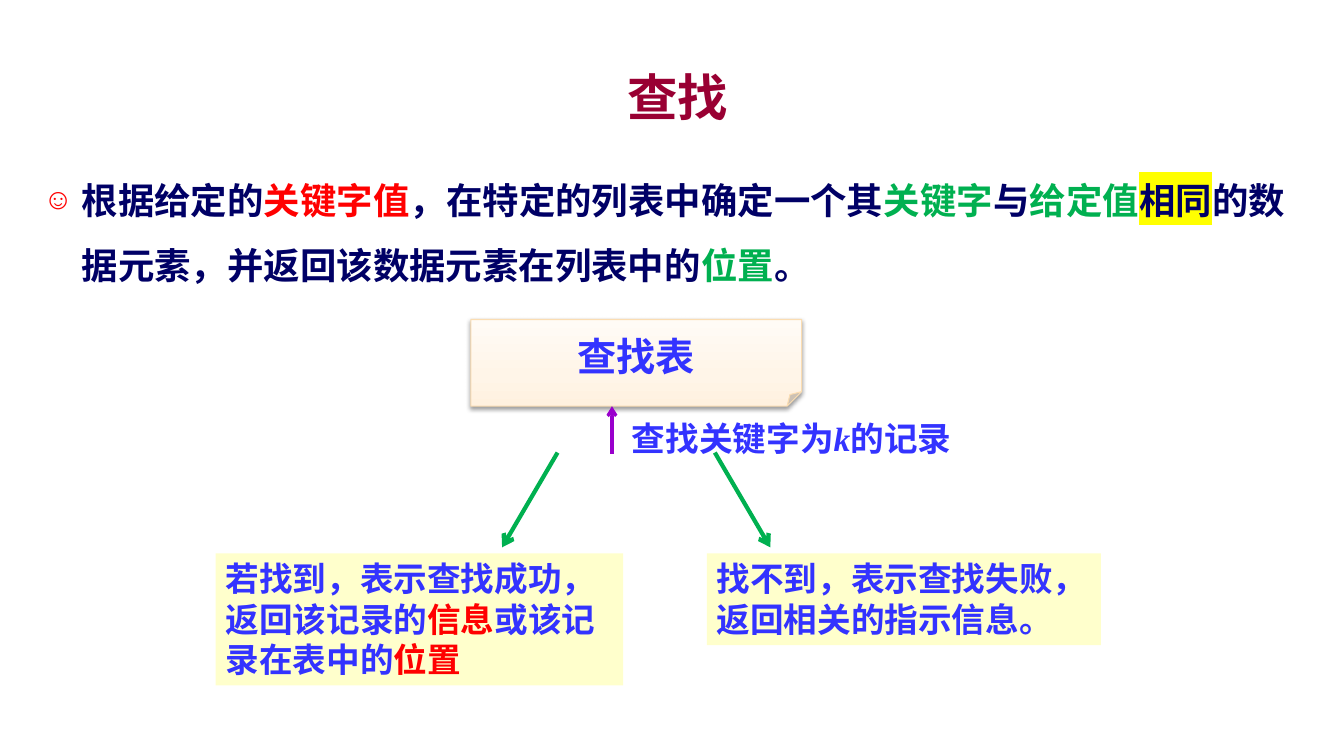
from dataclasses import dataclass

from lxml import etree
from pptx import Presentation
from pptx import util as u
from pptx.dml.color import RGBColor
from pptx.enum import shapes, text
from pptx.oxml import parse_xml
from pptx.oxml.ns import nsdecls, qn


@dataclass(frozen=True)
class Theme:
    """Fonts, colours and type sizes of the deck."""
    sans: str = "Noto Sans CJK SC"
    serif: str = "Times New Roman"
    title: str = "990033"
    navy: str = "000066"
    blue: str = "3333FF"
    red: str = "FF0000"
    green: str = "00B050"
    purple: str = "9900CC"
    yellow: str = "FFFF00"
    cream: str = "FFFFCC"
    card_edge: str = "FBDDB2"
    card_stops: tuple = ((0, "FFF1DF"), (35, "FFF5E8"), (100, "FFFBF6"))
    title_size: int = 36
    body_size: int = 26
    card_size: int = 28
    note_size: int = 24


THEME = Theme()


def rgb(code):
    """Turn a hex code into a colour."""
    return RGBColor.from_string(code)


def child(parent, tag, **attributes):
    """Append an XML element and return it."""
    return etree.SubElement(parent, qn(tag), attributes)


def place(shape, box):
    """Move a shape to a box of left, top, width and height in inches."""
    shape.left, shape.top, shape.width, shape.height = map(u.Inches, box)


def write(para, spans, size, color, font):
    """Fill a paragraph with (words, colour, extra) spans in bold."""
    for words, own_color, extra in spans:
        span = para.add_run()
        span.text = words
        span.font.size = u.Pt(size)
        span.font.bold = True
        span.font.color.rgb = rgb(own_color or color)
        properties = span._r.get_or_add_rPr()
        if extra == "marked":
            child(child(properties, "a:highlight"), "a:srgbClr", val=THEME.yellow)
        if extra == "italic":
            span.font.italic = True
        span.font.name = font
        child(properties, "a:ea", typeface=THEME.sans)


def plain(words, color=None, extra=None):
    """Describe one span of text."""
    return words, color, extra


def add_title(page, box, words):
    """Place the centred title."""
    title = page.shapes.title
    place(title, box)
    frame = title.text_frame
    frame.auto_size = text.MSO_AUTO_SIZE.NONE
    frame.vertical_anchor = text.MSO_ANCHOR.MIDDLE
    para = frame.paragraphs[0]
    para.alignment = text.PP_ALIGN.CENTER
    write(para, [plain(words)], THEME.title_size, THEME.title, THEME.sans)


def add_definition(page, box, spans):
    """Place the bulleted definition in the body placeholder."""
    body = page.placeholders[1]
    place(body, box)
    frame = body.text_frame
    frame.auto_size = text.MSO_AUTO_SIZE.NONE
    para = frame.paragraphs[0]
    para.line_spacing = 1.5
    para.space_before = para.space_after = u.Pt(6)
    layout = para._p.get_or_add_pPr()
    indent = u.Inches(0.38)
    layout.set("marL", str(indent))
    layout.set("indent", str(-indent))
    child(child(layout, "a:buClr"), "a:srgbClr", val=THEME.red)
    child(layout, "a:buSzPct", val="80000")
    child(layout, "a:buChar", char="☺")
    write(para, spans, THEME.body_size, THEME.navy, THEME.sans)


def add_card(page, box, words):
    """Draw the folded card that stands for the lookup table."""
    card = page.shapes.add_shape(shapes.MSO_SHAPE.FOLDED_CORNER, *map(u.Inches, box))
    card.fill.gradient()
    card.fill.gradient_angle = 90
    stops = card._element.spPr.find(qn("a:gradFill")).find(qn("a:gsLst"))
    for stop in list(stops):
        stops.remove(stop)
    for share, color in THEME.card_stops:
        child(child(stops, "a:gs", pos=str(share * 1000)), "a:srgbClr", val=color)
    card.line.color.rgb = rgb(THEME.card_edge)
    card.line.width = u.Pt(0.75)
    card._element.spPr.append(parse_xml(
        f'<a:effectLst {nsdecls("a")}><a:outerShdw blurRad="40000" dist="20000" '
        'dir="5400000" rotWithShape="0"><a:srgbClr val="000000">'
        '<a:alpha val="38000"/></a:srgbClr></a:outerShdw></a:effectLst>'))
    frame = card.text_frame
    frame.vertical_anchor = text.MSO_ANCHOR.MIDDLE
    para = frame.paragraphs[0]
    para.alignment = text.PP_ALIGN.CENTER
    write(para, [plain(words)], THEME.card_size, THEME.blue, THEME.sans)


def add_arrow(page, start, end, color, width):
    """Draw an open-headed arrow between two points."""
    arrow = page.shapes.add_connector(
        shapes.MSO_CONNECTOR.STRAIGHT, *map(u.Inches, start + end))
    arrow.line.color.rgb = rgb(color)
    arrow.line.width = u.Pt(width)
    child(arrow.line._get_or_add_ln(), "a:tailEnd", type="arrow")
    child(arrow._element.spPr, "a:effectLst")


def add_note(page, box, spans, fill=None):
    """Place a wrapping note, on a filled ground if given."""
    note = page.shapes.add_textbox(*map(u.Inches, box))
    if fill:
        note.fill.solid()
        note.fill.fore_color.rgb = rgb(fill)
    frame = note.text_frame
    frame.word_wrap = True
    frame.auto_size = text.MSO_AUTO_SIZE.SHAPE_TO_FIT_TEXT
    write(frame.paragraphs[0], spans, THEME.note_size, THEME.blue, THEME.serif)


def add_query(page, box, spans):
    """Place the query label with the arrow rising at its left."""
    left, top, _, _ = box
    add_arrow(page, (left - 0.1, top + 0.4), (left - 0.1, top - 0.07), THEME.purple, 2.25)
    add_note(page, box, spans)


def add_outcome(page, box, arrow_x, lean, spans):
    """Place an outcome note with a slanted arrow leading down to it."""
    top = box[1]
    add_arrow(page, (arrow_x, top - 1), (arrow_x + lean, top - 0.06), THEME.green, 3)
    add_note(page, box, spans, THEME.cream)


def build_search_page(deck):
    """Build the page that defines searching and its two outcomes."""
    page = deck.slides.add_slide(deck.slide_layouts[1])
    add_title(page, (1, 0.58, 11.33, 0.75), " 查找")
    add_definition(page, (0.33, 1.5, 12.67, 1.42), [
        plain("根据给定的"), plain("关键字值", THEME.red),
        plain("，在特定的列表中确定一个其"), plain("关键字", THEME.green),
        plain("与"), plain("给定值", THEME.green),
        plain("相同", extra="marked"),
        plain("的数据元素，并返回该数据元素在列表中的"),
        plain("位置", THEME.green), plain("。")])
    add_card(page, (4.67, 3.17, 3.28, 0.86), "查找表")
    add_query(page, (6.17, 4.1, 4.16, 0.91), [
        plain("查找关键字为"), plain("k", extra="italic"), plain("的记录")])
    add_outcome(page, (2.14, 5.49, 4.04, 1.31), 5.53, -0.55, [
        plain("若找到，表示查找成功，返回该记录的"), plain("信息", THEME.red),
        plain("或该记录在表中的"), plain("位置", THEME.red)])
    add_outcome(page, (7.01, 5.49, 3.91, 0.91), 7.09, 0.55, [
        plain("找不到，表示查找失败，返回相关的指示信息。")])


def main():
    """Create and save the deck."""
    deck = Presentation()
    deck.slide_width, deck.slide_height = u.Inches(13.33), u.Inches(7.5)
    build_search_page(deck)
    deck.save("out.pptx")


if __name__ == "__main__":
    main()
